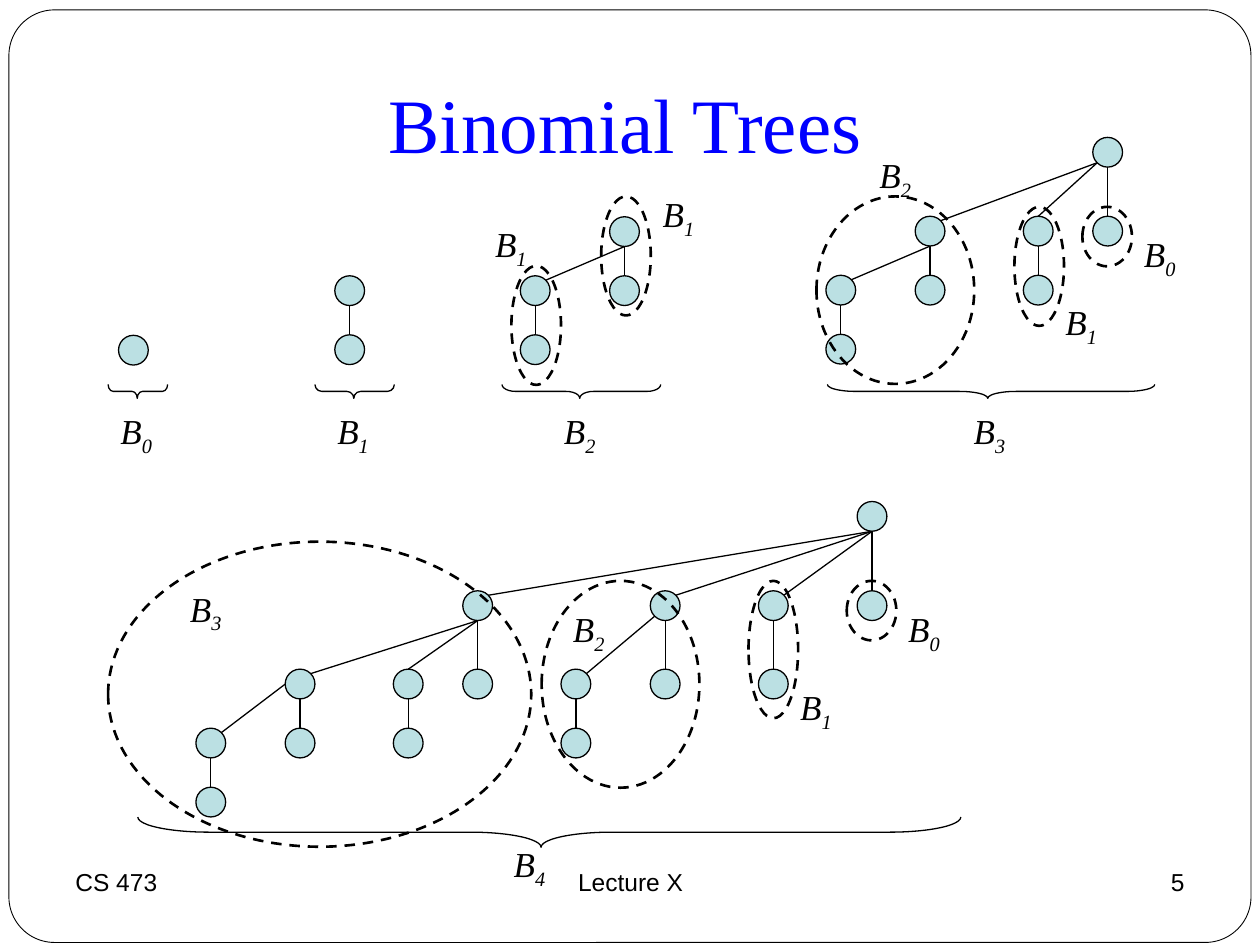
from typing import NamedTuple

from lxml.etree import SubElement
from pptx import Presentation
from pptx.dml.color import RGBColor
from pptx.enum.dml import MSO_LINE
from pptx.enum.shapes import MSO_CONNECTOR, MSO_SHAPE
from pptx.enum.text import MSO_ANCHOR, PP_ALIGN
from pptx.oxml.ns import qn
from pptx.util import Cm, Pt

COLOURS = {"ink": "000000", "title": "0000FF", "node": "BBE0E3", "paper": "FFFFFF"}
SERIF, SANS = "Times New Roman", "Arial"
NODE = 0.6
LABEL_SIZE = (1.3, 1.22)
# Distance to the left of the root for each child, lowest order first
SHIFTS = {0: (), 1: (0,), 2: (0, 1.8), 3: (0, 1.4, 3.58), 4: (0, 1.99, 4.17, 7.95)}
# Points on a node's rim, relative to its centre
DIAGONAL = 0.21
BOTTOM, TOP, LEFT = (0, NODE / 2), (0, -NODE / 2), (-NODE / 2, 0)
LOWER_LEFT, UPPER_RIGHT = (-DIAGONAL, DIAGONAL), (DIAGONAL, -DIAGONAL)


class Box(NamedTuple):
    left: float
    top: float
    width: float
    height: float

    def inner(self, left, top, width, height):
        return Box(self.left + left, self.top + top, width, height)

    def lengths(self):
        return [Cm(value) for value in self]


def colour(name):
    return RGBColor.from_string(COLOURS[name])


def write(frame, text, size=20, font=SERIF, ink="ink", italic=False,
          align=PP_ALIGN.LEFT, anchor=MSO_ANCHOR.TOP, subscript=""):
    frame.word_wrap = True
    frame.vertical_anchor = anchor
    para = frame.paragraphs[0]
    para.alignment = align
    for part in filter(None, (text, subscript)):
        span = para.add_run()
        span.text = part
        span.font.name, span.font.size = font, Pt(size)
        span.font.italic = italic
        span.font.color.rgb = colour(ink)
    if subscript:
        span._r.get_or_add_rPr().set("baseline", "-25000")


def add_text(page, box, text, **style):
    write(page.shapes.add_textbox(*box.lengths()).text_frame, text, **style)


def add_outline(page, kind, box, fill=None, weight=0.75):
    shape = page.shapes.add_shape(kind, *box.lengths())
    shape.shadow.inherit = False
    if fill:
        shape.fill.solid()
        shape.fill.fore_color.rgb = colour(fill)
    else:
        shape.fill.background()
    shape.line.color.rgb = colour("ink")
    shape.line.width = Pt(weight)
    return shape


def add_edge(page, start, end):
    ends = [Cm(value) for value in (*start, *end)]
    edge = page.shapes.add_connector(MSO_CONNECTOR.STRAIGHT, *ends)
    edge.line.color.rgb = colour("ink")
    edge.line.width = Pt(0.75)
    SubElement(edge._element.spPr, qn("a:effectLst"))


def add_label(page, box, order, left, top):
    add_text(page, box.inner(left, top, *LABEL_SIZE), "B", italic=True, subscript=str(order))


def add_brace(page, box, depth):
    """Curly brace along the bottom of the box, pointing down."""
    middle = box.inner((box.width - depth) / 2, box.height - (depth + box.width) / 2,
                       depth, box.width)
    brace = add_outline(page, MSO_SHAPE.LEFT_BRACE, middle)
    brace.rotation = 270
    brace.adjustments[0] = 0.086 * box.width / depth
    brace.adjustments[1] = 0.49


def grow(page, order, x, y, drops, starts, depth=0):
    """Draw the nodes and edges of a binomial tree whose root is centred at x, y."""
    for child, shift in enumerate(SHIFTS[order]):
        child_x, child_y = x - shift, y + drops[depth]
        start = starts.get((depth, order), BOTTOM) if shift else BOTTOM
        end = TOP if not shift or (order, child) == (3, 1) else UPPER_RIGHT
        add_edge(page, (x + start[0], y + start[1]), (child_x + end[0], child_y + end[1]))
        grow(page, child, child_x, child_y, drops, starts, depth + 1)
    node = Box(x - NODE / 2, y - NODE / 2, NODE, NODE)
    add_outline(page, MSO_SHAPE.OVAL, node, fill="node")


def add_tree(page, box, order, root, drops=(1.19, 1.19), starts=None, subtrees=(),
             depth=0.28, label_at=(-0.6, 0.1)):
    """Tree with its root at the top of the box, ringed subtrees, brace and name."""
    grow(page, order, box.left + root, box.top + NODE / 2, drops, starts or {})
    for part, ring, place in subtrees:
        oval = add_outline(page, MSO_SHAPE.OVAL, box.inner(*ring), weight=1.5)
        oval.line.dash_style = MSO_LINE.DASH
        add_label(page, box, part, *place)
    add_brace(page, box, depth)
    add_label(page, box, order, box.width / 2 + label_at[0], box.height + label_at[1])


def add_trees(page):
    add_tree(page, Box(2.18, 6.76, 1.2, 1.27), 0, 0.51)
    add_tree(page, Box(6.35, 5.56, 1.6, 2.47), 1, 0.7)
    add_tree(page, Box(10.12, 4.37, 3.2, 3.66), 2, 2.47, subtrees=[
        (1, (0.19, 0.99, 1, 2.4), (-0.39, 0)),
        (1, (2, -0.41, 1, 2.4), (2.99, -0.61)),
    ])
    add_tree(page, Box(16.68, 2.77, 6.6, 5.26), 3, 5.65, drops=(1.59, 1.19, 1.19),
             starts={(0, 3): LOWER_LEFT}, subtrees=[
        (2, (-0.22, 1.19, 3.18, 3.78), (0.8, 0.2)),
        (1, (3.77, 1.4, 1, 2.4), (4.55, 3.17)),
        (0, (5.14, 1.4, 1, 1.2), (6.13, 1.8)),
    ])
    add_tree(page, Box(2.78, 10.11, 16.59, 6.97), 4, 14.8, drops=(1.8, 1.58, 1.19, 1.19),
             starts={(1, 2): LOWER_LEFT, (2, 2): LEFT}, subtrees=[
        (3, (-0.6, 0.81, 8.53, 6.15), (0.8, 1.6)),
        (2, (8.14, 1.6, 3.18, 4.17), (8.52, 2.01)),
        (1, (12.31, 1.6, 1, 2.77), (13.1, 3.58)),
        (0, (14.29, 1.6, 1, 1.2), (15.28, 2.01)),
    ], depth=0.61, label_at=(-0.97, -0.22))


def add_frame(page, box):
    frame = add_outline(page, MSO_SHAPE.ROUNDED_RECTANGLE, box, fill="paper", weight=0.5)
    frame.adjustments[0] = 0.049
    page.shapes._spTree.insert(2, frame._element)


def add_title(page, box):
    title = page.shapes.title
    title.left, title.top, title.width, title.height = box.lengths()
    write(title.text_frame, "Binomial Trees", size=44, ink="title",
          align=PP_ALIGN.CENTER, anchor=MSO_ANCHOR.MIDDLE)


def add_footer(page, box):
    side, centre = 5.93, 8.05
    parts = [
        ("CS 473", 0, side, PP_ALIGN.LEFT),
        ("Lecture X", 7.42, centre, PP_ALIGN.CENTER),
        ("5", box.width - side, side, PP_ALIGN.RIGHT),
    ]
    for text, left, width, align in parts:
        add_text(page, box.inner(left, 0, width, box.height), text,
                 size=14, font=SANS, align=align)


def main():
    deck = Presentation()
    deck.slide_width, deck.slide_height = Cm(25.4), Cm(19.05)
    page = deck.slides.add_slide(deck.slide_layouts[5])
    add_frame(page, Box(0.18, 0.2, 25.04, 18.8))
    add_title(page, Box(1.19, 0.79, 22.83, 3.35))
    add_footer(page, Box(1.27, 17.35, 22.86, 1.32))
    add_trees(page)
    deck.save("out.pptx")


if __name__ == "__main__":
    main()
